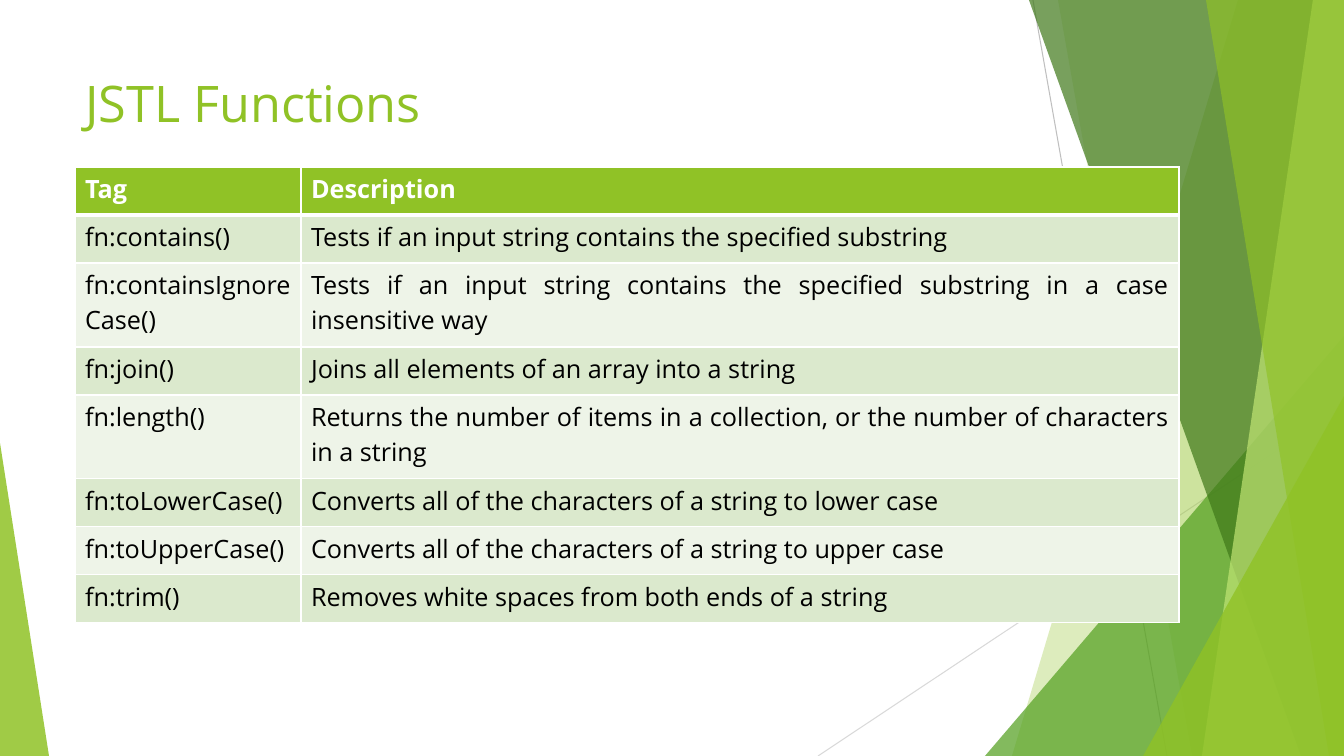
from lxml.etree import SubElement
from pptx import Presentation
from pptx.dml.color import RGBColor
from pptx.enum.shapes import MSO_CONNECTOR as CONNECTOR, MSO_SHAPE as SHAPE
from pptx.enum.text import MSO_ANCHOR as ANCHOR, PP_ALIGN as ALIGN
from pptx.oxml.ns import qn
from pptx.util import Pt

EMU_PER_PX = 914400 / 100.8
WIDTH, HEIGHT = 1344, 756

EDGE_LINES = [((1033, 0), (1167, HEIGHT), "BFBFBF"),
              ((WIDTH, 406), (818, HEIGHT), "D9D9D9")]
# Top x, bottom x, colour, opacity in percent
BACK_FACETS = [(1238, 1012, "90C226", 30), (1058, 1192, "90C226", 20)]
FRONT_FACETS = [(1029, 1301, "3F7819", 70), (1313, 1202, "C0E474", 70),
                (1206, 1329, "90C226", 65)]

FUNCTIONS = [
    ("Tag", "Description"),
    ("fn:contains()", "Tests if an input string contains the specified substring"),
    ("fn:containsIgnoreCase()",
     "Tests if an input string contains the specified substring in a case insensitive way"),
    ("fn:join()", "Joins all elements of an array into a string"),
    ("fn:length()",
     "Returns the number of items in a collection, or the number of characters in a string"),
    ("fn:toLowerCase()", "Converts all of the characters of a string to lower case"),
    ("fn:toUpperCase()", "Converts all of the characters of a string to upper case"),
    ("fn:trim()", "Removes white spaces from both ends of a string"),
]
COLUMN_WIDTHS = [226, 878]
ROW_HEIGHTS = [48, 48, 84, 48, 84, 48, 48, 48]


def px(length):
    return round(length * EMU_PER_PX)


def rgb(color):
    return RGBColor.from_string(color)


class SlideBuilder:
    font = "Open Sans"
    accent = "90C226"
    white = "FFFFFF"
    bands = ("EEF4E8", "DBE9CD")

    def __init__(self, slide):
        self.slide = slide
        self.shapes = slide.shapes

    def style_text(self, paragraph, size, color, bold=False, align=ALIGN.LEFT):
        paragraph.alignment = align
        for run in paragraph.runs:
            run.font.name = self.font
            run.font.size = Pt(size)
            run.font.bold = bold
            run.font.color.rgb = rgb(color)

    def paint(self, shape, color, opacity):
        shape.shadow.inherit = False
        shape.line.fill.background()
        shape.fill.solid()
        shape.fill.fore_color.rgb = rgb(color)
        fill_color = shape._element.spPr.find(qn("a:solidFill"))[0]
        SubElement(fill_color, qn("a:alpha"), val=str(opacity * 1000))

    def line(self, start, end, color):
        edge = self.shapes.add_connector(CONNECTOR.STRAIGHT, *map(px, start + end))
        edge.line.color.rgb = rgb(color)
        edge.line.width = Pt(0.75)
        SubElement(edge._element.spPr, qn("a:effectLst"))

    def facet(self, top_x, bottom_x, color, opacity):
        """Fill from a slanted left edge to the right side of the slide."""
        outline = self.shapes.build_freeform(top_x, 0, scale=EMU_PER_PX)
        outline.add_line_segments([(WIDTH, 0), (WIDTH, HEIGHT), (bottom_x, HEIGHT)])
        self.paint(outline.convert_to_shape(), color, opacity)

    def triangle(self, left, top, width, apex, color, opacity):
        """Stand a triangle on the bottom edge; apex is 0 for left, 1 for right."""
        corner = self.shapes.add_shape(SHAPE.ISOSCELES_TRIANGLE, px(left), px(top),
                                       px(width), px(HEIGHT - top))
        corner.adjustments[0] = apex
        self.paint(corner, color, opacity)

    def title(self, text, left, top, width, height):
        heading = self.shapes.title
        heading.left, heading.top = px(left), px(top)
        heading.width, heading.height = px(width), px(height)
        frame = heading.text_frame
        frame.text = text
        frame.vertical_anchor = ANCHOR.TOP
        self.style_text(frame.paragraphs[0], 36, self.accent)

    def border(self, cell, side, width):
        edge = SubElement(cell._tc.get_or_add_tcPr(), qn(f"a:ln{side}"), w=str(Pt(width)))
        fill = SubElement(edge, qn("a:solidFill"))
        SubElement(fill, qn("a:srgbClr"), val=self.white)

    def cell(self, cell, text, row, column):
        is_header = row == 0
        cell.text = text
        align = ALIGN.JUSTIFY if column and not is_header else ALIGN.LEFT
        self.style_text(cell.text_frame.paragraphs[0], 18,
                        self.white if is_header else "000000", is_header, align)
        for side in "LRTB":
            under_header = (row, side) in ((0, "B"), (1, "T"))
            self.border(cell, side, 3 if under_header else 1)
        cell.fill.solid()
        cell.fill.fore_color.rgb = rgb(self.accent if is_header else self.bands[row % 2])

    def table(self, rows, left, top, widths, heights):
        grid = self.shapes.add_table(len(rows), len(widths), px(left), px(top),
                                     px(sum(widths)), px(sum(heights))).table
        for column, width in zip(grid.columns, widths):
            column.width = px(width)
        for row, height in zip(grid.rows, heights):
            row.height = px(height)
        for r, texts in enumerate(rows):
            for c, text in enumerate(texts):
                self.cell(grid.cell(r, c), text, r, c)


def main():
    deck = Presentation()
    deck.slide_width, deck.slide_height = px(WIDTH), px(HEIGHT)
    builder = SlideBuilder(deck.slides.add_slide(deck.slide_layouts[5]))

    for edge in EDGE_LINES:
        builder.line(*edge)
    for facet in BACK_FACETS:
        builder.facet(*facet)
    builder.triangle(985, 336, 359, 1, "54A021", 72)
    for facet in FRONT_FACETS:
        builder.facet(*facet)
    builder.triangle(1143, 396, 201, 1, builder.accent, 80)
    builder.triangle(0, 443, 49, 0, builder.accent, 85)

    builder.title("JSTL Functions", 75, 67, 947, 145)
    builder.table(FUNCTIONS, 75, 167, COLUMN_WIDTHS, ROW_HEIGHTS)
    deck.save("out.pptx")


if __name__ == "__main__":
    main()
